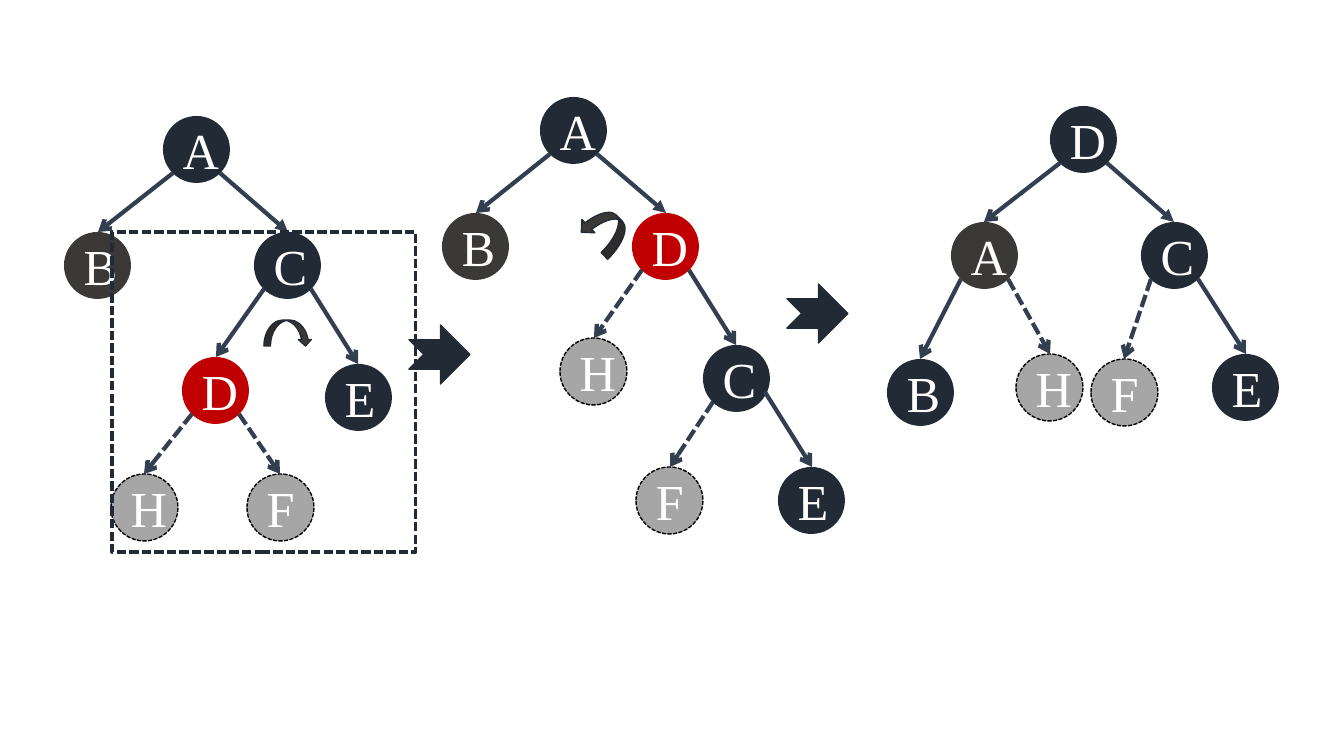
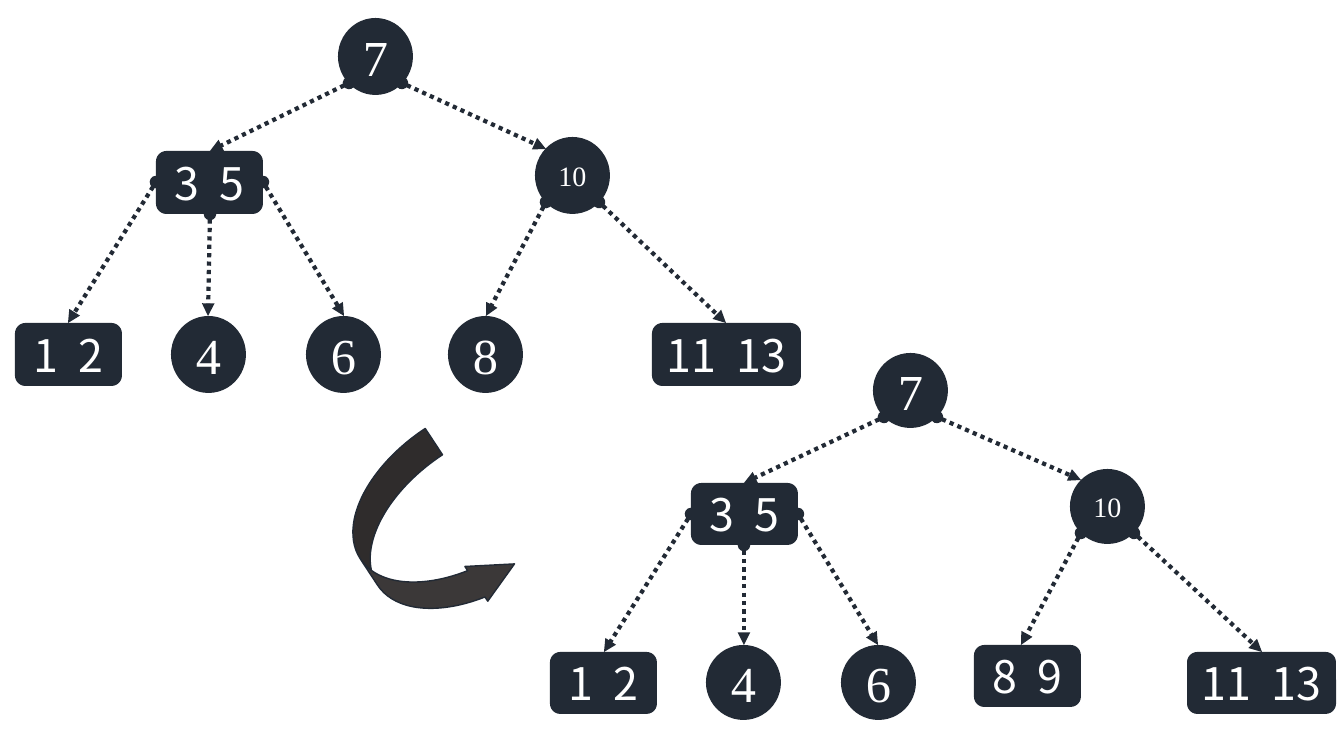
from pptx import Presentation
from pptx.dml.color import RGBColor
from pptx.enum.dml import MSO_LINE
from pptx.enum.shapes import MSO_CONNECTOR, MSO_SHAPE
from pptx.enum.text import MSO_ANCHOR, PP_ALIGN
from pptx.oxml.ns import qn
from pptx.util import Pt
from lxml.etree import SubElement

PX = 12192000 / 1344  # EMU in one pixel

# Shared colours, fonts and formats
NAVY, SLATE, COAL, RED = "222A35", "333F50", "3B3838", "C00000"
GREY, BLACK, WHITE = "A6A6A6", "000000", "FFFFFF"
SERIF, SANS = "Times New Roman", "Noto Sans CJK SC"
DASH, DOT = MSO_LINE.SQUARE_DOT, MSO_LINE.ROUND_DOT
FRAME = {"word_wrap": True, "vertical_anchor": MSO_ANCHOR.MIDDLE}

# Node kinds: preset, width, height, fill, font, size
OVAL, ROUND = MSO_SHAPE.OVAL, MSO_SHAPE.ROUNDED_RECTANGLE
KINDS = {
    "dark": (OVAL, 67, 67, NAVY, SERIF, 36),
    "coal": (OVAL, 67, 67, COAL, SERIF, 36),
    "red": (OVAL, 67, 67, RED, SERIF, 36),
    "faded": (OVAL, 67, 67, GREY, SERIF, 36),
    "big": (OVAL, 75, 77, NAVY, SERIF, 36),
    "small": (OVAL, 75, 77, NAVY, SERIF, 20),
    "box": (ROUND, 107, 63, NAVY, SANS, 32),
    "wide": (ROUND, 149, 63, NAVY, SANS, 32),
}

# Where an edge leaves its parent, as shares of the parent's size
PORTS = {"left": (.15, .85), "right": (.85, .85), "far": (.92, .7),
         "west": (0, .5), "south": (.5, 1), "east": (1, .5)}
# Where an edge meets a child, if not at its top centre
AIMS = {"10": (.15, .15), "8  9": (.44, 0)}


def tint(part, code):
    """Give a fill or a font colour its hex value."""
    part.solid()
    part.fore_color.rgb = RGBColor.from_string(code)


def style(shape, fill, line, width=1, dash=None):
    """Set fill and outline; None leaves either one empty."""
    shape.shadow.inherit = False
    for part, code in ((shape.fill, fill), (shape.line.fill, line)):
        if code:
            tint(part, code)
        else:
            part.background()
    if line:
        for key, value in {"width": Pt(width), "dash_style": dash}.items():
            setattr(shape.line, key, value)


# Trees: nodes are text, kind, left, top, parent, port
rotate = [
    [("A", "dark", 163, 116, None, None),
     ("B", "coal", 64, 232, "A", "left"),
     ("C", "dark", 254, 232, "A", "right"),
     ("D", "red", 182, 357, "C", "left"),
     ("E", "dark", 325, 364, "C", "right"),
     ("F", "faded", 247, 474, "D", "right"),
     ("H", "faded", 111, 474, "D", "left")],
    [("A", "dark", 540, 97, None, None),
     ("B", "coal", 442, 213, "A", "left"),
     ("D", "red", 632, 213, "A", "right"),
     ("H", "faded", 560, 338, "D", "left"),
     ("C", "dark", 703, 345, "D", "right"),
     ("F", "faded", 636, 467, "C", "left"),
     ("E", "dark", 778, 467, "C", "far")],
    [("D", "dark", 1050, 106, None, None),
     ("A", "coal", 951, 222, "D", "left"),
     ("C", "dark", 1141, 222, "D", "right"),
     ("H", "faded", 1016, 354, "A", "right"),
     ("E", "dark", 1212, 354, "C", "right"),
     ("F", "faded", 1091, 359, "C", "left"),
     ("B", "dark", 887, 359, "A", "left")],
]
common = [
    ("7", "big", 338, 18, None, None),
    ("3  5", "box", 156, 151, "7", "left"),
    ("10", "small", 535, 137, "7", "right"),
    ("1  2", "box", 15, 323, "3  5", "west"),
    ("4", "big", 171, 316, "3  5", "south"),
    ("6", "big", 306, 316, "3  5", "east"),
    ("11  13", "wide", 652, 323, "10", "right"),
]
before = common + [("8", "big", 448, 316, "10", "left")]
after = common + [("8  9", "box", 439, 316, "10", "left")]

# Slides
deck = Presentation()
deck.slide_width, deck.slide_height = round(1344 * PX), round(756 * PX)
first, second = [deck.slides.add_slide(deck.slide_layouts[6]) for _ in range(2)]

# Each tree: slide, nodes, left and top shift, height scale
trees = [(first, nodes, 0, 0, 1) for nodes in rotate]
trees += [(second, before, 0, 0, 1), (second, after, 535, 335, .98)]

for slide, nodes, dx, dy, scale in trees:
    group = slide.shapes.add_group_shape().shapes
    spots = {}
    for text, kind, left, top, parent, port in nodes:
        # Node
        preset, wide, high, fill, face, size = KINDS[kind]
        faded = kind == "faded"
        spot = [round(n) for n in (left + dx, top * scale + dy, wide, high * scale)]
        spots[text] = spot
        node = group.add_shape(preset, *[round(n * PX) for n in spot])
        style(node, fill, BLACK if faded else None, dash=DASH)
        frame = node.text_frame
        for key, value in FRAME.items():
            setattr(frame, key, value)
        para = frame.paragraphs[0]
        para.alignment = PP_ALIGN.CENTER
        run = para.add_run()
        run.text = text
        for key, value in {"name": face, "size": Pt(size)}.items():
            setattr(run.font, key, value)
        tint(run.font.fill, WHITE)
        if not parent:
            continue

        # Edge from the parent
        ends = []
        for (x, y, w, h), (across, down) in (
                (spots[parent], PORTS[port]), (spot, AIMS.get(text, (.5, 0)))):
            ends += [round(x + w * across), round(y + h * down)]
        edge = group.add_connector(MSO_CONNECTOR.STRAIGHT, *[round(n * PX) for n in ends])
        dotted = slide is second
        tint(edge.line.fill, NAVY if dotted else SLATE)
        dash = DOT if dotted else DASH if faded else None
        for key, value in {"width": Pt(3), "dash_style": dash}.items():
            setattr(edge.line, key, value)
        props = edge.element.spPr
        line = props.find(qn("a:ln"))
        if dotted:
            SubElement(line, qn("a:headEnd"), type="oval")
        crown = spots[parent] is spots[nodes[0][0]] and port == "right"
        SubElement(line, qn("a:tailEnd"), type="triangle" if dotted or crown else "arrow")
        SubElement(props, qn("a:effectLst"))

# Frame around the subtree that turns
area = first.shapes.add_shape(
    MSO_SHAPE.RECTANGLE, *[round(n * PX) for n in (112, 232, 304, 320)])
style(area, None, NAVY, 2.25, DASH)

# Step arrows and turn arrows: slide, preset, place, turn, fill, adjustments
STEP, BEND = MSO_SHAPE.NOTCHED_RIGHT_ARROW, MSO_SHAPE.CURVED_RIGHT_ARROW
arrows = [
    (first, STEP, (409, 325, 61, 59), 0, NAVY, ()),
    (first, STEP, (787, 284, 61, 59), 0, NAVY, ()),
    (first, MSO_SHAPE.CURVED_DOWN_ARROW, (264, 320, 48, 26), 0, COAL, ()),
    (first, BEND, (586, 206, 37, 47), 135.8, COAL, ()),
    (second, BEND, (360, 448, 126, 183), 326.6, COAL, (.25, .33, .34)),
]
for slide, preset, place, turn, fill, bends in arrows:
    arrow = slide.shapes.add_shape(preset, *[round(n * PX) for n in place])
    arrow.rotation = turn
    for i, bend in enumerate(bends):
        arrow.adjustments[i] = bend
    style(arrow, fill, NAVY)

deck.save("out.pptx")
